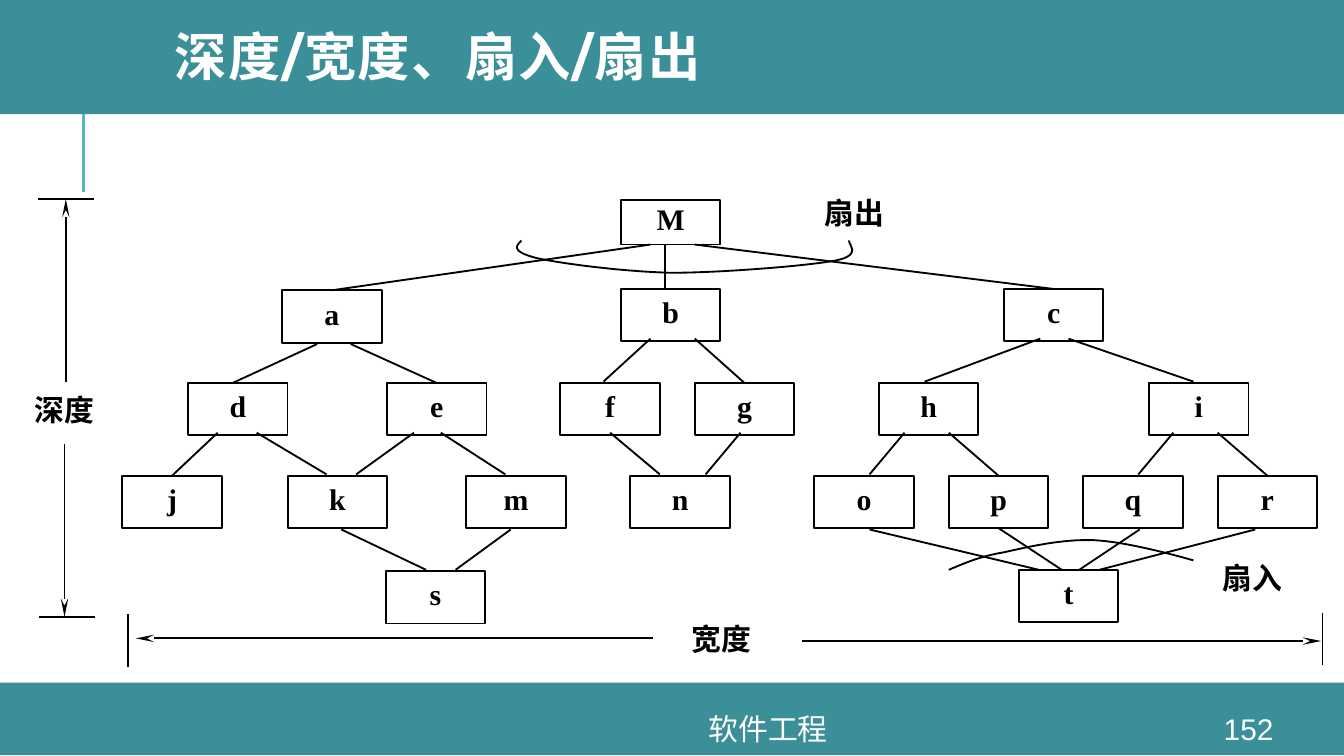
"""Build the slide on depth, width, fan-in and fan-out of a structure chart."""
from pptx import Presentation
from pptx.dml.color import RGBColor
from pptx.enum.shapes import MSO_CONNECTOR as Link, MSO_SHAPE as Shape
from pptx.enum.text import MSO_ANCHOR as Anchor, MSO_AUTO_SIZE as AutoSize, PP_ALIGN as Align
from pptx.oxml.ns import qn
from pptx.util import Inches, Pt
from lxml.etree import SubElement

THEME = {
    "teal": RGBColor(0x3A, 0x8F, 0x98), "rule": RGBColor(0x58, 0xB6, 0xC0),
    "white": RGBColor(255, 255, 255), "black": RGBColor(0, 0, 0),
    "title_font": "Montserrat", "footer_font": "Arial", "label_font": "Times New Roman",
    "title_size": 28, "text_size": 16, "line": 1, "rule_line": 1.5, "spacing": 0.8,
}

TITLE = "深度/宽度、扇入/扇出"
BARS = [(0, 5.08, 10, 0.54), (0, -0.03, 10, 0.88)]
FOOTERS = [("软件工程", 2.61, 6.21), ("152", 8.89, 0.8)]
NODE_WIDTH, NODE_HEIGHT, ROOT_HEIGHT = 0.74, 0.39, 0.33
ROWS = [
    (1.49, {"M": 4.62}),
    (2.16, {"a": 2.1}),
    (2.15, {"b": 4.62, "c": 7.47}),
    (2.85, {"d": 1.4, "e": 2.88, "f": 4.17, "g": 5.17, "h": 6.54, "i": 8.55}),
    (3.54, {"j": 0.91, "k": 2.14, "m": 3.47, "n": 4.69,
            "o": 6.06, "p": 7.06, "q": 8.06, "r": 9.06}),
    (4.25, {"s": 2.87}),
    (4.24, {"t": 7.58}),
]
MIDDLE = None
EDGES = [
    (1.82, 2.15, [("M", 4.84, "a", MIDDLE), ("M", 4.95, "b", 4.95), ("M", 5.17, "c", MIDDLE)]),
    (2.56, 2.85, [("a", 2.36, "d", 1.73), ("a", 2.61, "e", MIDDLE)]),
    (2.52, 2.84, [("b", 4.84, "f", 4.49), ("b", 5.17, "g", MIDDLE),
                  ("c", 7.74, "h", 6.88), ("c", 7.95, "i", 8.88)]),
    (3.22, 3.53, [("d", 1.62, "j", MIDDLE), ("d", 1.91, "k", 2.43), ("e", 3.08, "k", 2.65),
                  ("e", 3.28, "m", 3.76), ("f", 4.54, "n", 4.91), ("g", 5.51, "n", 5.25),
                  ("h", 6.73, "o", 6.47), ("h", 7.06, "p", MIDDLE),
                  ("i", 8.73, "q", 8.47), ("i", 9.06, "r", MIDDLE)]),
    (3.94, 4.24, [("k", 2.54, "s", 3.17), ("m", 3.8, "s", 3.39), ("o", 6.47, "t", 7.73),
                  ("p", MIDDLE, "t", 7.9), ("q", 8.48, "t", 8.03), ("r", 9.34, "t", 8.18)]),
]
FAN_ARCS = [
    [(3.88, 1.79), (3.84, 1.83), (3.8, 1.87), (3.99, 1.92), (4.17, 1.96), (4.62, 2.02),
     (4.99, 2.03), (5.36, 2.03), (5.99, 1.98), (6.21, 1.94), (6.43, 1.9), (6.3, 1.81),
     (6.32, 1.79)],
    [(7.06, 4.24), (7.18, 4.19), (7.29, 4.14), (7.47, 4.11), (7.65, 4.07), (7.9, 4.01),
     (8.14, 4.02), (8.37, 4.03), (8.74, 4.13), (8.88, 4.17)],
]
LABELS = [
    ("扇出", 5.88, 1.45, 0.31, Anchor.MIDDLE), ("扇入", 8.84, 4.17, 0.31, Anchor.MIDDLE),
    ("宽度", 4.89, 4.67, 0.48, Anchor.TOP), ("深度", 0, 2.89, 0.37, Anchor.MIDDLE),
]
LABEL_WIDTH = 0.96
ARROWS = [(0.49, 2.84, 0.49, 1.48), (0.48, 3.3, 0.48, 4.59),
          (4.86, 4.75, 1.01, 4.75), (5.97, 4.77, 9.83, 4.77)]
LIMITS = [(0.28, 1.48, 0.7, 1.48), (0.29, 4.59, 0.71, 4.59),
          (0.95, 4.57, 0.95, 4.96), (9.84, 4.56, 9.84, 4.95)]
ARC_STEPS = 16


def write(shape, text, font, size, color, bold=False, anchor=Anchor.MIDDLE,
          align=Align.CENTER, spacing=None, inset=None):
    frame = shape.text_frame
    frame.text = text
    frame.word_wrap = True
    frame.auto_size = AutoSize.NONE
    frame.vertical_anchor = anchor
    if inset is not None:
        frame.margin_left = frame.margin_right = Inches(inset)
        frame.margin_top = frame.margin_bottom = Inches(inset)
    para = frame.paragraphs[0]
    para.alignment = align
    if spacing:
        para.line_spacing = spacing
    span = para.runs[0]
    span.font.name, span.font.size, span.font.bold = THEME[font], Pt(THEME[size]), bold
    span.font.color.rgb = THEME[color]
    return span


def write_label(shape, text, anchor=Anchor.MIDDLE):
    write(shape, text, "label_font", "text_size", "black", True, anchor,
          spacing=THEME["spacing"], inset=0)


def outline(shape):
    shape.shadow.inherit = False
    shape.fill.background()
    shape.line.color.rgb = THEME["black"]
    shape.line.width = Pt(THEME["line"])


def add_line(page, ends, color="black", width="line", arrow=False):
    line = page.shapes.add_connector(Link.STRAIGHT, *map(Inches, ends))
    line.line.color.rgb = THEME[color]
    line.line.width = Pt(THEME[width])
    if arrow:
        SubElement(line.line._get_or_add_ln(), qn("a:tailEnd"), type="stealth", w="sm", len="lg")
    SubElement(line._element.spPr, qn("a:effectLst"))
    return line


def add_bands(page):
    add_line(page, (0.62, 1.43, 0.62, 0.68), "rule", "rule_line")
    for bar in BARS:
        band = page.shapes.add_shape(Shape.RECTANGLE, *map(Inches, bar))
        band.shadow.inherit = False
        band.fill.solid()
        band.fill.fore_color.rgb = THEME["teal"]
        band.line.fill.background()
    title = page.shapes.title
    page.shapes._spTree.append(title._element)
    title.left, title.top, title.width, title.height = map(Inches, (1.2, 0, 8.49, 0.91))
    span = write(title, TITLE, "title_font", "title_size", "white", True,
                 align=Align.LEFT, spacing=THEME["spacing"])
    span.font._element.set("spc", "80")
    for text, left, width in FOOTERS:
        box = page.shapes.add_textbox(*map(Inches, (left, 5.31, width, 0.23)))
        write(box, text, "footer_font", "text_size", "white")


def add_nodes(page):
    nodes = {}
    for top, row in ROWS:
        for name, left in row.items():
            height = ROOT_HEIGHT if name == "M" else NODE_HEIGHT
            node = page.shapes.add_shape(
                Shape.RECTANGLE, *map(Inches, (left, top, NODE_WIDTH, height)))
            outline(node)
            write_label(node, name)
            nodes[name] = node
    return nodes


def add_edges(page, nodes):
    for start_y, end_y, edges in EDGES:
        for parent, start_x, child, end_x in edges:
            line = add_line(page, (start_x or 0, start_y, end_x or 0, end_y))
            if start_x is MIDDLE:
                line.begin_connect(nodes[parent], 2)
            if end_x is MIDDLE:
                line.end_connect(nodes[child], 0)


def curve_points(points):
    for first in range(0, len(points) - 1, 3):
        a, b, c, d = points[first:first + 4]
        for step in range(1, ARC_STEPS + 1):
            t = step / ARC_STEPS
            u = 1 - t
            yield tuple(Inches(u**3 * a[i] + 3 * u * u * t * b[i] + 3 * u * t * t * c[i]
                               + t**3 * d[i]) for i in (0, 1))


def add_arcs(page):
    for points in FAN_ARCS:
        builder = page.shapes.build_freeform(*map(Inches, points[0]))
        builder.add_line_segments(list(curve_points(points)), close=False)
        outline(builder.convert_to_shape())


def main():
    deck = Presentation()
    deck.slide_width, deck.slide_height = Inches(10), Inches(10 * 9 / 16)
    page = deck.slides.add_slide(deck.slide_layouts[5])
    add_bands(page)
    add_edges(page, add_nodes(page))
    add_arcs(page)
    for text, left, top, height, anchor in LABELS:
        box = page.shapes.add_textbox(*map(Inches, (left, top, LABEL_WIDTH, height)))
        write_label(box, text, anchor)
    for ends in LIMITS:
        add_line(page, ends)
    for ends in ARROWS:
        add_line(page, ends, arrow=True)
    deck.save("out.pptx")


if __name__ == "__main__":
    main()
